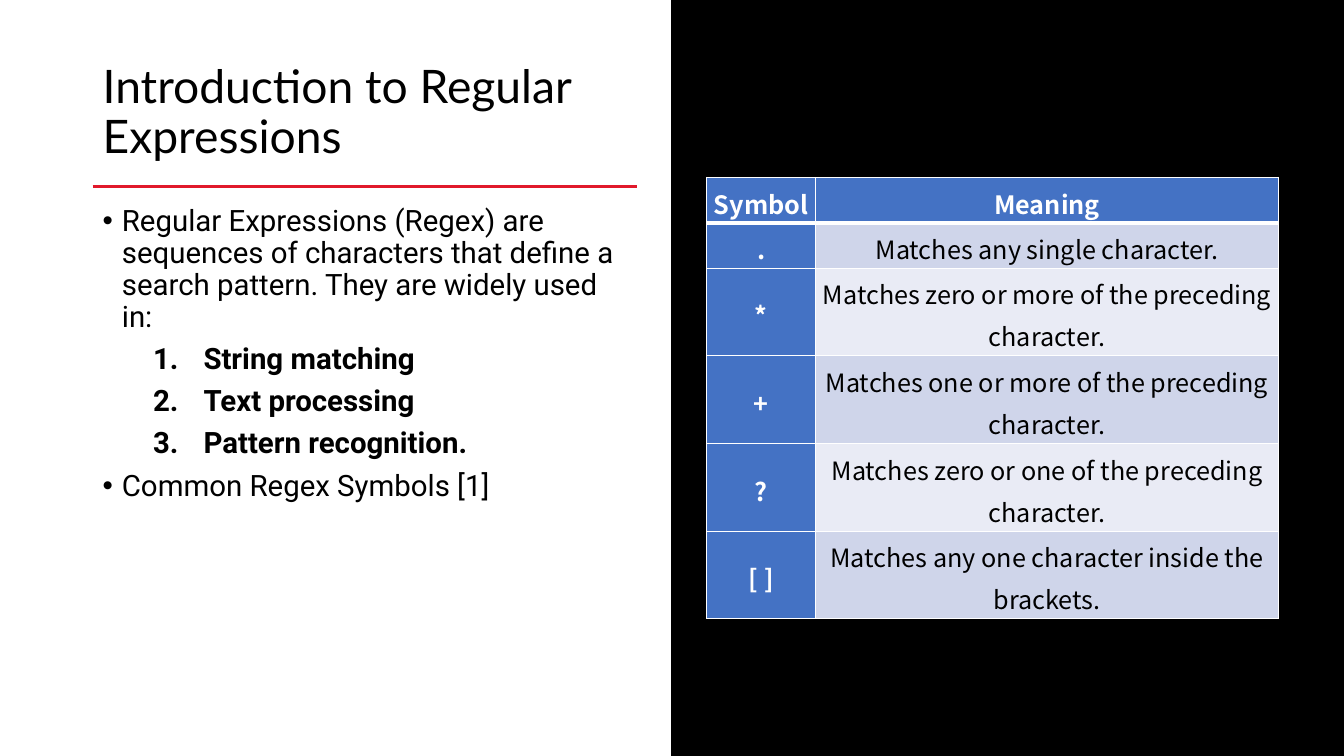
from dataclasses import dataclass

from pptx import Presentation, util as u
from pptx.dml.color import RGBColor
from pptx.enum import shapes, text
from pptx.oxml.ns import qn
from lxml import etree

PX = 9144  # EMU per px, 100 px to the inch


@dataclass(frozen=True)
class Theme:
    black: str = "000000"
    white: str = "FFFFFF"
    red: str = "E1192B"
    blue: str = "4472C4"
    bands: tuple = ("CFD5EA", "E9EBF5")
    title_font: str = "Lato"
    body_font: str = "Roboto"
    table_font: str = "Noto Sans CJK SC"
    title_size: int = 33
    body_size: int = 21
    table_size: int = 18


THEME = Theme()

BODY = [
    ("bullet", "Regular Expressions (Regex) are sequences of characters that "
               "define a search pattern. They are widely used in:"),
    ("number", "String matching"),
    ("number", "Text processing"),
    ("number", "Pattern recognition."),
    ("bullet", "Common Regex Symbols [1]"),
]

SYMBOLS = [
    ("Symbol", "Meaning"),
    (".", "Matches any single character."),
    ("*", "Matches zero or more of the preceding character."),
    ("+", "Matches one or more of the preceding character."),
    ("?", "Matches zero or one of the preceding character."),
    ("[ ]", "Matches any one character inside the brackets."),
]


def emu(*lengths):
    return [u.Emu(length * PX) for length in lengths]


def color(code):
    return RGBColor.from_string(code)


def add_span(para, words, font, size, code, bold=False):
    span = para.add_run()
    span.text = words
    span.font.name = font
    span.font.size = u.Pt(size)
    span.font.bold = bold
    span.font.color.rgb = color(code)
    # East Asian font, for symbols that fall outside the Latin range
    etree.SubElement(span.font._element, qn("a:ea"), typeface=font)


def add_frame(page, box, anchor):
    frame = page.shapes.add_textbox(*emu(*box)).text_frame
    frame.word_wrap = True
    frame.vertical_anchor = anchor
    return frame


def set_marker(para, kind):
    """Give a paragraph its hanging indent and its bullet or number."""
    left, hang = (19, 19) if kind == "bullet" else (100, 50)
    props = para._p.get_or_add_pPr()
    props.set("marL", str(left * PX))
    props.set("indent", str(-hang * PX))
    if kind == "bullet":
        etree.SubElement(props, qn("a:buFont"), typeface="Arial")
        etree.SubElement(props, qn("a:buChar"), char="•")
    else:
        etree.SubElement(props, qn("a:buAutoNum"), type="arabicPeriod")


def set_borders(cell, bottom):
    props = cell._tc.get_or_add_tcPr()
    for side, points in (("L", 1), ("R", 1), ("T", 1), ("B", bottom)):
        line = etree.SubElement(props, qn(f"a:ln{side}"), w=str(u.Pt(points)))
        fill = etree.SubElement(line, qn("a:solidFill"))
        etree.SubElement(fill, qn("a:srgbClr"), val=THEME.white)


def add_panel(page, box):
    panel = page.shapes.add_shape(shapes.MSO_SHAPE.RECTANGLE, *emu(*box))
    panel.shadow.inherit = False
    panel.fill.solid()
    panel.fill.fore_color.rgb = color(THEME.black)
    panel.line.color.rgb = color(THEME.black)
    panel.line.width = u.Pt(1)


def add_title(page, box, words):
    left, top, width, height = box
    # Rule along the bottom of the title
    rule = page.shapes.add_connector(
        shapes.MSO_CONNECTOR.STRAIGHT,
        *emu(left, top + height, left + width - 1, top + height))
    rule.line.color.rgb = color(THEME.red)
    rule.line.width = u.Pt(2)
    etree.SubElement(rule._element.spPr, qn("a:effectLst"))
    # Heading
    para = add_frame(page, box, text.MSO_ANCHOR.MIDDLE).paragraphs[0]
    para.line_spacing = 0.9
    add_span(para, words, THEME.title_font, THEME.title_size, THEME.black)


def add_body(page, box, items):
    frame = add_frame(page, box, text.MSO_ANCHOR.TOP)
    for index, (kind, words) in enumerate(items):
        para = frame.add_paragraph() if index else frame.paragraphs[0]
        numbered = kind == "number"
        para.level = int(numbered)
        para.line_spacing = 0.9
        para.space_before = u.Pt(7.5)
        set_marker(para, kind)
        add_span(para, words, THEME.body_font, THEME.body_size,
                 THEME.black, numbered)


def add_symbol_table(page, box, rows):
    # One-line rows come first, then rows tall enough for two lines
    heights = [45, 45] + [87] * (len(rows) - 2)
    widths = [108, box[2] - 108]
    table = page.shapes.add_table(len(rows), 2, *emu(*box)).table
    for column, width in zip(table.columns, emu(*widths)):
        column.width = width
    for row, height in zip(table.rows, emu(*heights)):
        row.height = height
    for r, row in enumerate(rows):
        for c, words in enumerate(row):
            cell = table.cell(r, c)
            heading = r == 0 or c == 0
            # Thick line under the header
            set_borders(cell, 3 if r == 0 else 1)
            cell.fill.solid()
            cell.fill.fore_color.rgb = color(
                THEME.blue if heading else THEME.bands[(r - 1) % 2])
            cell.vertical_anchor = text.MSO_ANCHOR.MIDDLE
            (cell.margin_left, cell.margin_top,
             cell.margin_right, cell.margin_bottom) = emu(2, 2, 2, 2)
            para = cell.text_frame.paragraphs[0]
            para.alignment = text.PP_ALIGN.CENTER
            para.line_spacing = 1.15
            para.space_after = u.Pt(8)
            add_span(para, words, THEME.table_font, THEME.table_size,
                     THEME.white if heading else THEME.black, heading)


def main():
    deck = Presentation()
    deck.slide_width, deck.slide_height = emu(1333, 750)
    page = deck.slides.add_slide(deck.slide_layouts[6])
    page.background.fill.solid()
    page.background.fill.fore_color.rgb = color(THEME.white)

    add_panel(page, (666, 0, 667, 750))
    add_title(page, (92, 40, 541, 145), "Introduction to Regular Expressions")
    add_body(page, (92, 200, 541, 476), BODY)
    add_symbol_table(page, (701, 176, 567, 438), SYMBOLS)
    deck.save("out.pptx")


if __name__ == "__main__":
    main()
